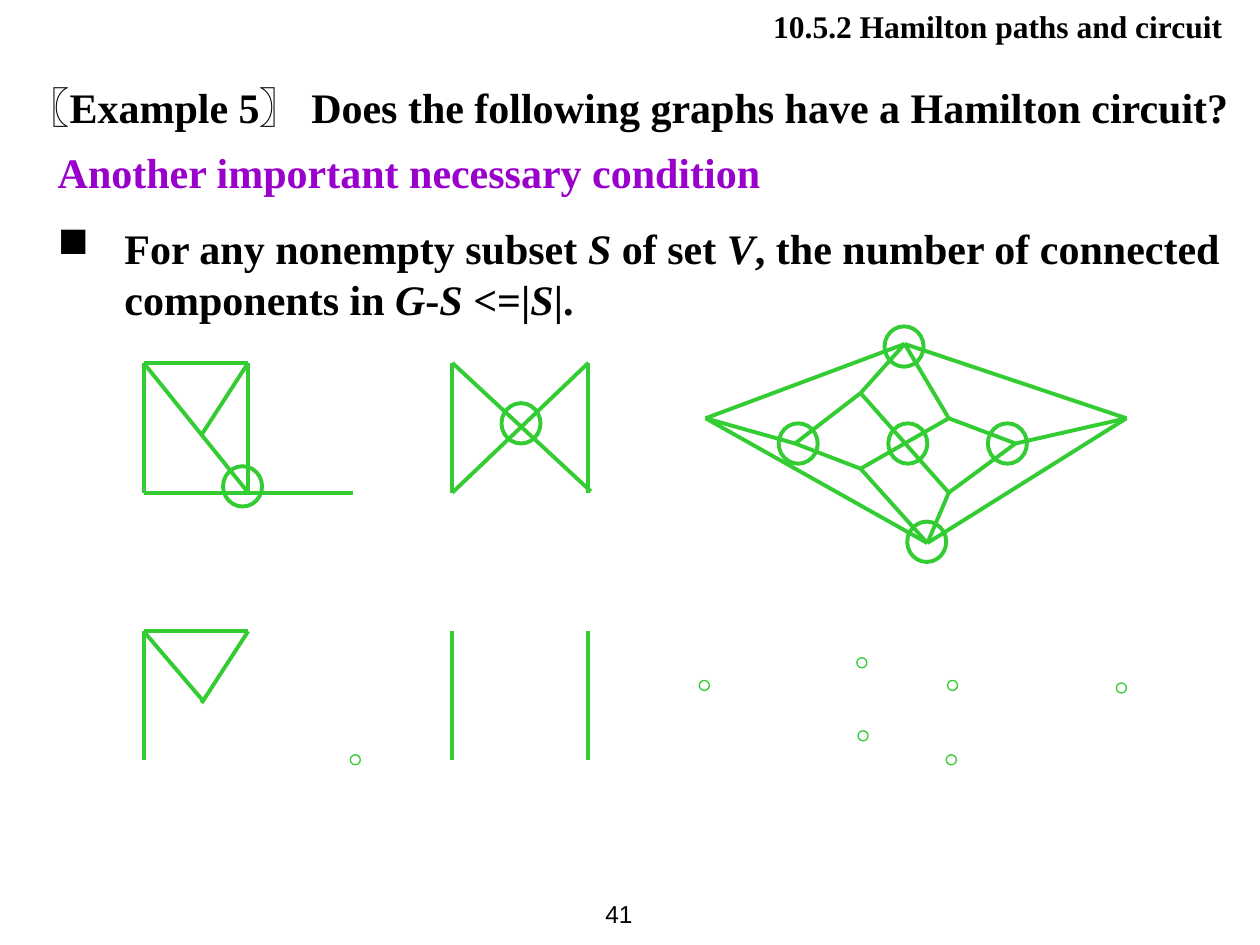
from lxml import etree
from pptx import Presentation
from pptx.dml.color import RGBColor
from pptx.enum.shapes import MSO_CONNECTOR, MSO_SHAPE
from pptx.enum.text import MSO_ANCHOR, PP_ALIGN
from pptx.oxml.ns import qn
from pptx.util import Pt

STRAIGHT = MSO_CONNECTOR.STRAIGHT
OVAL = MSO_SHAPE.OVAL
LEFT, RIGHT = PP_ALIGN.LEFT, PP_ALIGN.RIGHT
TOP, MIDDLE = MSO_ANCHOR.TOP, MSO_ANCHOR.MIDDLE

BLACK = RGBColor(0x00, 0x00, 0x00)
PURPLE = RGBColor(0x99, 0x00, 0xCC)
GREEN = RGBColor(0x33, 0xCC, 0x33)
SERIF, SANS = "Times New Roman", "Arial"

EMU_PER_PX = 9144  # 100 px to the inch


def px(length):
    return length * EMU_PER_PX


def add_run(paragraph, text, font=SERIF, size=24, color=BLACK, bold=True, italic=False):
    run = paragraph.add_run()
    run.text = text
    run.font.name = font
    run.font.size = Pt(size)
    run.font.color.rgb = color
    run.font.bold = bold
    run.font.italic = italic


def set_bullet(paragraph, character, indent):
    """Hang the paragraph by indent px behind a black bullet."""
    properties = paragraph._p.get_or_add_pPr()
    properties.set("marL", str(px(indent)))
    properties.set("indent", str(-px(indent)))
    bullet_color = etree.SubElement(properties, qn("a:buClr"))
    etree.SubElement(bullet_color, qn("a:srgbClr"), val=str(BLACK))
    etree.SubElement(properties, qn("a:buChar"), char=character)


class GraphSlide:
    def __init__(self, slide, color=GREEN, weight=2.25):
        self.shapes = slide.shapes
        self.color = color
        self.weight = weight

    def text_box(self, left, top, width, height, align=LEFT, anchor=TOP, wrap=True):
        """Add an empty text box and return its text frame."""
        box = self.shapes.add_textbox(px(left), px(top), px(width), px(height))
        frame = box.text_frame
        frame.word_wrap = wrap
        frame.vertical_anchor = anchor
        frame.paragraphs[0].alignment = align
        return frame

    def edge(self, start, end):
        line = self.shapes.add_connector(STRAIGHT, *map(px, start + end))
        line.line.color.rgb = self.color
        line.line.width = Pt(self.weight)
        etree.SubElement(line._element.spPr, qn("a:effectLst"))

    def edges(self, vertices, pairs):
        """Join named vertices; each pair is two letters."""
        for start, end in pairs.split():
            self.edge(vertices[start], vertices[end])

    def ring(self, left, top, width, height, weight):
        oval = self.shapes.add_shape(OVAL, px(left), px(top), px(width), px(height))
        oval.shadow.inherit = False
        oval.fill.background()
        oval.line.color.rgb = self.color
        oval.line.width = Pt(weight)

    def removed_vertex(self, left, top):
        self.ring(left, top, 31, 32, self.weight)

    def isolated_vertex(self, left, top):
        self.ring(left, top, 8, 8, 0.75)


def add_texts(page):
    number = page.text_box(445, 700, 67, 50, align=RIGHT, anchor=MIDDLE, wrap=False)
    add_run(number.paragraphs[0], "41", font=SANS, size=14, bold=False)

    header = page.text_box(398, 1, 582, 40, align=RIGHT)
    add_run(header.paragraphs[0], "10.5.2 Hamilton paths and circuit", size=18)

    example = page.text_box(12, 60, 1008, 50).paragraphs[0]
    add_run(example, "〖", font=SANS)
    add_run(example, "Example 5")
    add_run(example, "〗 ", font=SANS)
    add_run(example, "Does the following graphs have a Hamilton circuit?")

    condition = page.text_box(36, 111, 957, 151)
    add_run(condition.paragraphs[0], "Another important necessary condition", color=PURPLE)
    rule = condition.add_paragraph()
    set_bullet(rule, "■", 53)
    rule.space_before = Pt(15)
    parts = ["For any nonempty subset ", "S", " of set ", "V",
             ", the number of connected components in ", "G", "-", "S", " <=|", "S", "|."]
    for index, part in enumerate(parts):
        add_run(rule, part, italic=index % 2 == 1)


def add_graphs(page):
    square = {"a": (114, 288), "b": (197, 288), "c": (114, 391), "d": (197, 391),
              "e": (280, 391), "f": (160, 345)}
    page.edges(square, "ac ab bd ce ad bf")

    bow_tie = {"a": (359, 288), "b": (467, 288), "c": (359, 391), "d": (467, 391),
               "e": (469, 390)}
    page.edges(bow_tie, "ac bd cb ae")

    diamond = {"t": (718, 273), "l": (560, 332), "r": (894, 332), "b": (736, 431),
               "p": (683, 312), "q": (753, 332), "u": (631, 352), "v": (806, 352),
               "m": (683, 372), "n": (753, 391)}
    page.edges(diamond, "tp nb tq qv um mb qm pn tl lu lb tr vr up vn br")

    for left, top in [(177, 370), (398, 320), (702, 259), (618, 336),
                      (705, 336), (784, 336), (720, 414)]:
        page.removed_vertex(left, top)


def add_components(page):
    """Draw what is left of each graph without its ringed vertices."""
    square = {"a": (114, 501), "b": (197, 501), "c": (114, 603),
              "f": (161, 556), "g": (160, 558)}
    page.edges(square, "ac ab af bg")
    for x in (359, 467):
        page.edge((x, 501), (x, 603))
    for left, top in [(278, 599), (680, 522), (681, 580), (752, 540),
                      (751, 599), (555, 540), (886, 542)]:
        page.isolated_vertex(left, top)


def main():
    presentation = Presentation()
    presentation.slide_width = px(1000)
    presentation.slide_height = px(750)
    page = GraphSlide(presentation.slides.add_slide(presentation.slide_layouts[6]))
    add_texts(page)
    add_graphs(page)
    add_components(page)
    presentation.save("out.pptx")


if __name__ == "__main__":
    main()
